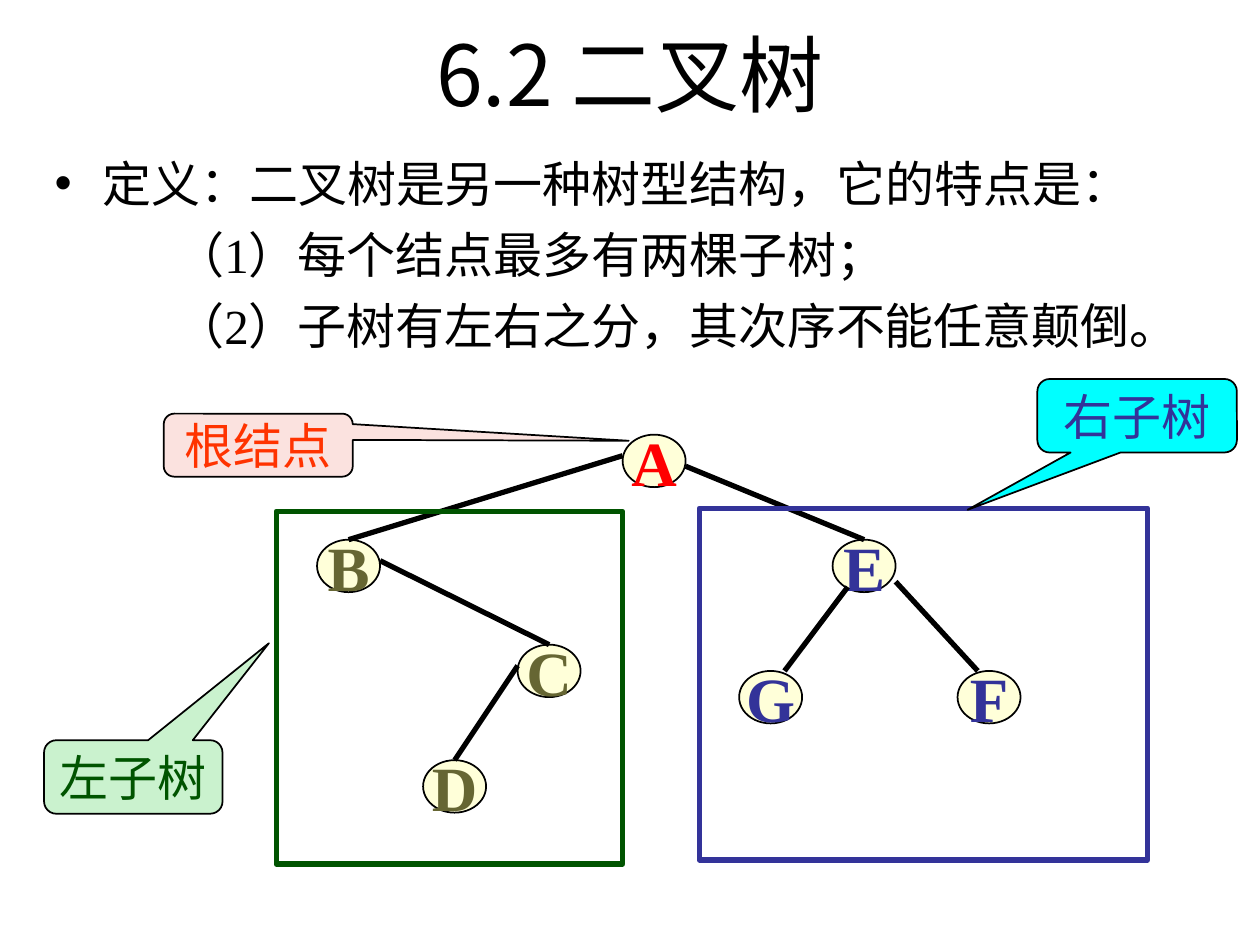
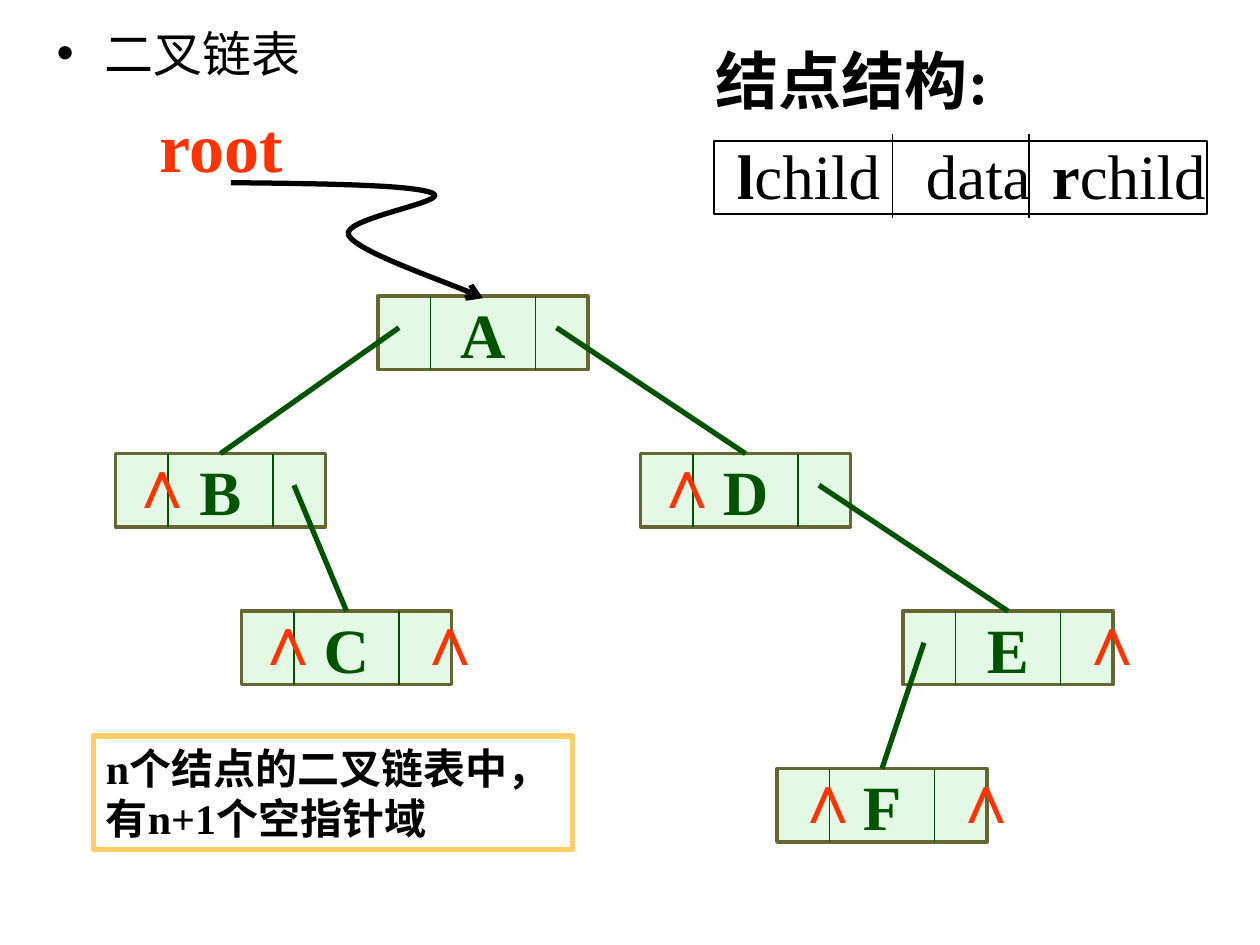
from dataclasses import dataclass

from lxml.etree import SubElement
from pptx import Presentation
from pptx.dml.color import RGBColor
from pptx.enum.shapes import MSO_CONNECTOR as Connector, MSO_SHAPE as Shape
from pptx.enum.text import MSO_ANCHOR as Anchor, MSO_AUTO_SIZE as AutoSize, PP_ALIGN as Align
from pptx.oxml.ns import qn
from pptx.util import Inches, Pt

CELL = Inches(1) / 12  # the slide is a grid of 120 columns by 90 rows
COLUMNS, ROWS = 120, 90


@dataclass(frozen=True)
class Theme:
    latin: str = "Times New Roman"
    chinese: str = "Noto Sans CJK SC"
    symbol: str = "Arial"
    black: str = "000000"
    white: str = "FFFFFF"
    red: str = "FF0000"
    orange: str = "FF3300"
    olive: str = "666633"
    green: str = "005400"
    blue: str = "333399"
    cream: str = "FFFFD9"
    pink: str = "FBE2DF"
    mint: str = "CAF2CE"
    cyan: str = "00FFFF"
    gold: str = "FFCC66"
    title_size: int = 48
    pointer_size: int = 40
    node_size: int = 36
    body_size: int = 28
    note_size: int = 24
    thin: int = 1
    medium: int = 2
    thick: int = 3


THEME = Theme()


@dataclass(frozen=True)
class Box:
    """A rectangle in grid cells."""
    left: float
    top: float
    width: float
    height: float

    def inner(self, left, top, width, height):
        return Box(self.left + left, self.top + top, width, height)

    def point(self, across, down):
        return self.left + across * self.width, self.top + down * self.height

    def lengths(self):
        return [round(n * CELL) for n in (self.left, self.top, self.width, self.height)]


# Shared helpers
def set_line(line, color, width):
    line.color.rgb = RGBColor.from_string(color)
    line.width = Pt(width)


def write_text(shape, paragraphs, *, size=THEME.node_size, color=THEME.black, font=THEME.latin,
               bold=False, align=Align.LEFT, anchor=Anchor.TOP, wrap=False, grow=False,
               bullet=False, margin=0, indents=None, space_before=0, tabs=()):
    """Each paragraph is a string or a list of (text, bold) runs."""
    frame = shape.text_frame
    frame.word_wrap, frame.vertical_anchor = wrap, anchor
    frame.auto_size = AutoSize.SHAPE_TO_FIT_TEXT if grow else AutoSize.NONE
    for index, content in enumerate(paragraphs):
        paragraph = frame.add_paragraph() if index else frame.paragraphs[0]
        properties = paragraph._p.get_or_add_pPr()
        properties.set("marL", str(Inches(margin)))
        properties.set("indent", str(Inches(indents[index] if indents else 0)))
        if bullet and index == 0:
            SubElement(properties, qn("a:buFont"), typeface=THEME.symbol)
            SubElement(properties, qn("a:buChar"), char="•")
        else:
            SubElement(properties, qn("a:buNone"))
        if tabs:
            tab_list = SubElement(properties, qn("a:tabLst"))
            for tab in tabs:
                SubElement(tab_list, qn("a:tab"), pos=str(Inches(tab)), algn="l")
        paragraph.alignment = align
        paragraph.space_before = Pt(space_before if index else 0)
        for text, run_bold in [(content, bold)] if isinstance(content, str) else content:
            run = paragraph.add_run()
            run.text = text
            run.font.name, run.font.size, run.font.bold = font, Pt(size), run_bold
            run.font.color.rgb = RGBColor.from_string(color)
            SubElement(run._r.get_or_add_rPr(), qn("a:ea"), typeface=THEME.chinese)


def add_box(slide, kind, box, *, fill=None, alpha=None, line=THEME.black, width=THEME.thin):
    shape = slide.shapes.add_shape(kind, *box.lengths())
    shape.shadow.inherit = False
    if fill:
        shape.fill.solid()
        shape.fill.fore_color.rgb = RGBColor.from_string(fill)
        if alpha:
            color = shape.fill._xPr.find(".//" + qn("a:srgbClr"))
            SubElement(color, qn("a:alpha"), val=str(alpha * 1000))
    else:
        shape.fill.background()
    set_line(shape.line, line, width)
    return shape


def add_label(slide, box, paragraphs, **text_format):
    write_text(slide.shapes.add_textbox(*box.lengths()), paragraphs, **text_format)


def add_line(slide, start, end, color=THEME.black, width=THEME.thick):
    ends = [round(n * CELL) for n in (*start, *end)]
    connector = slide.shapes.add_connector(Connector.STRAIGHT, *ends)
    set_line(connector.line, color, width)
    SubElement(connector._element.spPr, qn("a:effectLst"))


def fill_placeholder(placeholder, box, paragraphs, **text_format):
    placeholder.left, placeholder.top, placeholder.width, placeholder.height = box.lengths()
    write_text(placeholder, paragraphs, wrap=True, **text_format)


def add_list(slide, box, paragraphs, later_indent=0):
    body = slide.placeholders[1]
    indents = [-0.38] + [later_indent] * (len(paragraphs) - 1)
    fill_placeholder(body, box, paragraphs, size=THEME.body_size, bullet=True,
                     margin=0.38, indents=indents, space_before=7)
    return body


# Slide 1: definition with an example tree
def draw_example_tree(slide, area):
    nodes = {
        "A": (59.3, 5.4, THEME.red),
        "B": (30.2, 15.4, THEME.olive),
        "C": (49.3, 25.4, THEME.olive),
        "D": (40.3, 36.4, THEME.olive),
        "E": (79.3, 15.4, THEME.blue),
        "F": (91.2, 27.9, THEME.blue),
        "G": (70.4, 27.9, THEME.blue),
    }
    boxes = {}
    for name, (left, top, color) in nodes.items():
        boxes[name] = area.inner(left, top, 6, 5)
        ellipse = add_box(slide, Shape.OVAL, boxes[name], fill=THEME.cream)
        write_text(ellipse, [name], color=color, bold=True, align=Align.CENTER, anchor=Anchor.MIDDLE)

    # Edges: parent, point on parent, child, point on child's top
    for parent, start, child, across in (
        ("A", (0, 0.4), "B", 0.5),
        ("B", (1, 0.4), "C", 0.5),
        ("C", (0, 0.4), "D", 0.5),
        ("A", (1, 0.6), "E", 0.5),
        ("E", (1, 0.8), "F", 0.32),
        ("E", (0.24, 0.9), "G", 0.72),
    ):
        add_line(slide, boxes[parent].point(*start), boxes[child].point(across, 0))


def draw_subtree_marks(slide, area):
    # Frames round the two subtrees
    for frame, color in (((26.3, 12.7, 33, 33.6), THEME.green), ((66.6, 12.4, 42.7, 33.5), THEME.blue)):
        add_box(slide, Shape.RECTANGLE, area.inner(*frame), line=color, width=THEME.thick)

    # Callouts, with the pointer's tip as shares of the callout
    for text, place, tip, fill, color in (
        ("根结点", (15.6, 3.4, 18, 6), (1.96, -0.07), THEME.pink, THEME.orange),
        ("左子树", (4.2, 34.5, 17, 7), (0.76, -1.82), THEME.mint, THEME.green),
        ("右子树", (98.8, 0.1, 19, 7), (-0.85, 1.28), THEME.cyan, THEME.blue),
    ):
        callout = add_box(slide, Shape.ROUNDED_RECTANGULAR_CALLOUT, area.inner(*place), fill=fill)
        callout.adjustments[0], callout.adjustments[1] = tip
        write_text(callout, [text], size=THEME.body_size, color=color,
                   align=Align.CENTER, anchor=Anchor.MIDDLE)


def build_definition_slide(presentation):
    slide = presentation.slides.add_slide(presentation.slide_layouts[1])
    fill_placeholder(slide.shapes.title, Box(6, 1.2, 108, 11.4), ["6.2 二叉树"],
                     size=THEME.title_size, font=THEME.chinese,
                     align=Align.CENTER, anchor=Anchor.MIDDLE)
    add_list(slide, Box(4, 14, 106, 67.8), [
        "定义：二叉树是另一种树型结构，它的特点是：",
        "（1）每个结点最多有两棵子树；",
        "（2）子树有左右之分，其次序不能任意颠倒。",
    ], later_indent=0.58)
    diagram = Box(0, 36, COLUMNS, ROWS - 36)
    draw_example_tree(slide, diagram)
    draw_subtree_marks(slide, diagram)


# Slide 2: linked storage
def draw_linked_nodes(slide, area):
    level_step = 15
    # Node: left, level, shares across where a null pointer stands
    nodes = {
        "A": (36, 0, ()),
        "D": (61, 1, (0,)),
        "E": (86, 2, (0.77,)),
        "B": (11, 1, (0,)),
        "C": (23, 2, (0, 0.77)),
        "F": (74, 3, (0.02, 0.77)),
    }
    boxes = {}
    for name, (left, level, _) in nodes.items():
        box = boxes[name] = area.inner(left, level * level_step, 20, 7)
        record = add_box(slide, Shape.RECTANGLE, box, fill=THEME.mint, alpha=50,
                         line=THEME.olive, width=THEME.medium)
        write_text(record, [name], color=THEME.green, bold=True,
                   align=Align.CENTER, anchor=Anchor.MIDDLE)
        for across in (0.25, 0.75):
            add_line(slide, box.point(across, 0), box.point(across, 1), THEME.green, THEME.thin)

    for name, (_, _, nulls) in nodes.items():
        for across in nulls:
            left, top = boxes[name].point(across, -0.29)
            add_label(slide, Box(left, top, 4.6, 9.2), ["∧"], size=THEME.pointer_size,
                      color=THEME.orange, font=THEME.symbol, bold=True, grow=True)

    left_field, right_field = 0.1, 0.85
    for parent, field, child in (("A", left_field, "B"), ("A", right_field, "D"),
                                 ("B", right_field, "C"), ("D", right_field, "E"),
                                 ("E", left_field, "F")):
        add_line(slide, boxes[parent].point(field, 0.43), boxes[child].point(0.5, 0), THEME.green)


def curve_points(start, segments, steps=16):
    """Points along a chain of cubic curves."""
    for first, second, end in segments:
        controls = start, first, second, end
        for step in range(1, steps + 1):
            t = step / steps
            weights = (1 - t) ** 3, 3 * t * (1 - t) ** 2, 3 * t * t * (1 - t), t ** 3
            yield tuple(sum(w * c[axis] for w, c in zip(weights, controls)) for axis in (0, 1))
        start = end


def draw_root_pointer(slide, area):
    start = (8, 8.2)
    segments = (
        ((16.7, 8.3), (25.4, 8.4), (27.2, 9.2)),
        ((29.1, 10), (18.4, 11.6), (19.2, 13.2)),
        ((20, 14.9), (29.9, 18.1), (32, 19.2)),
    )
    points = [(round((area.left + x) * CELL), round((area.top + y) * CELL))
              for x, y in (start, *curve_points(start, segments))]
    builder = slide.shapes.build_freeform(*points[0])
    builder.add_line_segments(points[1:], close=False)
    pointer = builder.convert_to_shape()
    pointer.shadow.inherit = False
    pointer.fill.background()
    set_line(pointer.line, THEME.black, THEME.thick)
    SubElement(pointer.line._get_or_add_ln(), qn("a:tailEnd"), type="arrow")
    add_label(slide, area.inner(0, 0, 14.2, 9.2), ["root"], size=THEME.pointer_size,
              color=THEME.orange, bold=True, grow=True)


def draw_node_structure(slide, area):
    add_label(slide, area.inner(1, 9, 49, 8.4),
              [[("l", True), ("child\tdata\t", False), ("r", True), ("child", False)]],
              wrap=True, tabs=(1.28, 2.36))
    add_box(slide, Shape.RECTANGLE, area.inner(0, 10, 47, 7))
    for column in (17, 30):
        left, top = area.left + column, area.top + 9.4
        add_line(slide, (left, top), (left, top + 8), width=THEME.thin)
    add_label(slide, area.inner(-1, 0, 29.8, 8.4), ["结点结构:"], bold=True, grow=True)


def build_linked_list_slide(presentation):
    slide = presentation.slides.add_slide(presentation.slide_layouts[1])
    title = slide.shapes.title
    title._element.getparent().remove(title._element)
    heading = add_list(slide, Box(4.2, 1.6, 112, 7.6), ["二叉链表"])
    heading.fill.solid()
    heading.fill.fore_color.rgb = RGBColor.from_string(THEME.white)
    draw_linked_nodes(slide, Box(0, 28.2, COLUMNS, ROWS - 28.2))
    draw_root_pointer(slide, Box(14, 9.2, 33, 20))
    draw_node_structure(slide, Box(68, 3.4, 47, 18))
    note = add_box(slide, Shape.RECTANGLE, Box(8.9, 70.1, 45.6, 10.8),
                   line=THEME.gold, width=THEME.thick)
    write_text(note, ["n个结点的二叉链表中，", "有n+1个空指针域"], size=THEME.note_size,
               bold=True, anchor=Anchor.MIDDLE, grow=True)


def main():
    presentation = Presentation()
    presentation.slide_width = round(COLUMNS * CELL)
    presentation.slide_height = round(ROWS * CELL)
    build_definition_slide(presentation)
    build_linked_list_slide(presentation)
    presentation.save("out.pptx")


if __name__ == "__main__":
    main()
